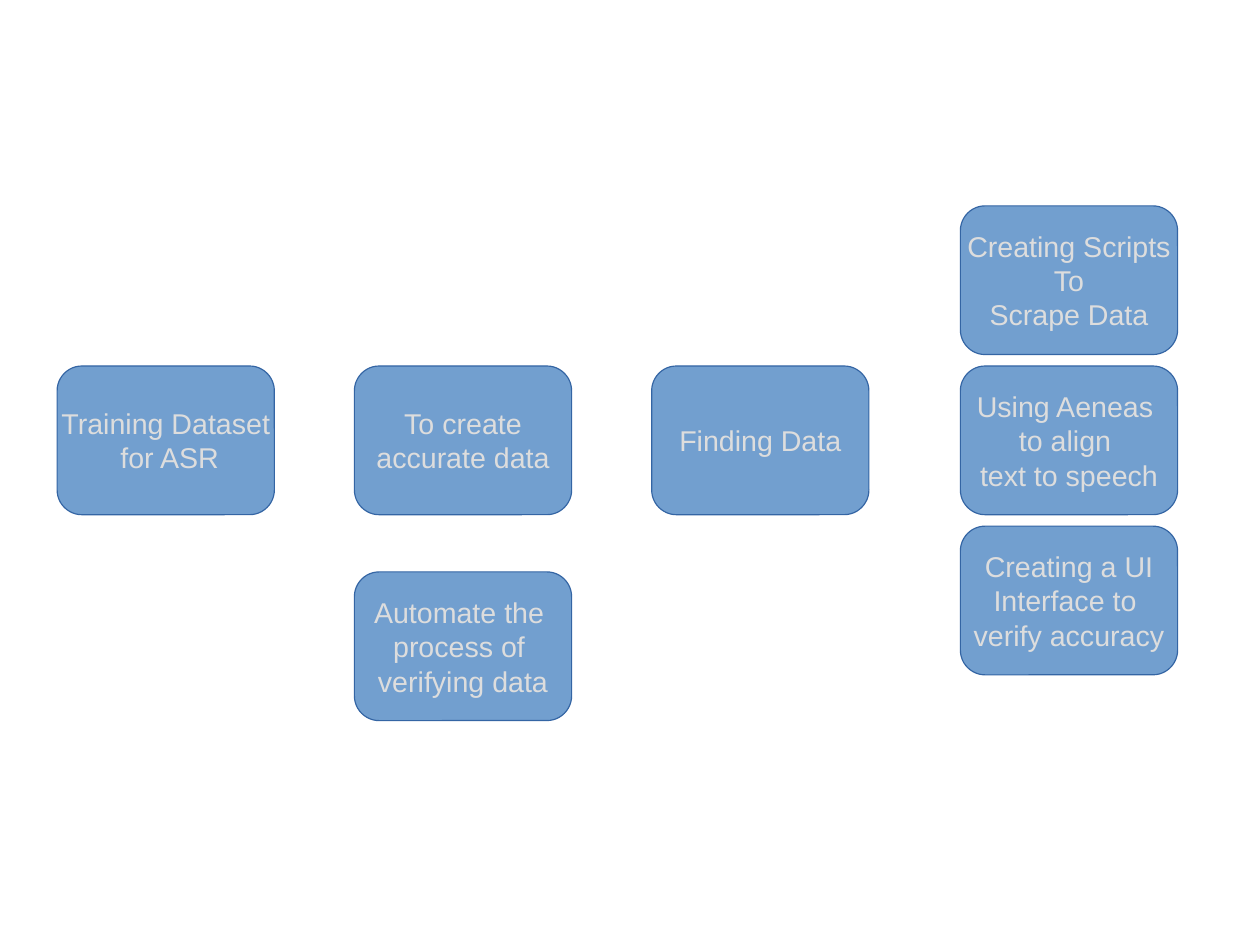
from pptx import Presentation
from pptx.dml.color import RGBColor
from pptx.enum import shapes, text
from pptx.util import Inches, Pt

COLUMNS = [
    (0.5, 3.2, [["Training Dataset", " for ASR"]]),
    (3.1, 3.2, [["To create", "accurate data"],
                ["Automate the ", "process of ", "verifying data"]]),
    (5.7, 3.2, [["Finding Data"]]),
    (8.4, 1.8, [["Creating Scripts", "To", "Scrape Data"],
                ["Using Aeneas ", "to align ", "text to speech"],
                ["Creating a UI", "Interface to ", "verify accuracy"]]),
]
BOX_WIDTH, BOX_HEIGHT = 1.9, 1.3
GAPS = {3.1: 0.5, 8.4: 0.1}


def color(value):
    return RGBColor.from_string(value)


def write(frame, lines, size=18, font="Arial", ink="DDDDDD"):
    frame.word_wrap = False
    frame.vertical_anchor = text.MSO_ANCHOR.MIDDLE
    for index, line in enumerate(lines):
        para = frame.add_paragraph() if index else frame.paragraphs[0]
        para.alignment = text.PP_ALIGN.CENTER
        span = para.add_run()
        span.text = line
        span.font.size = Pt(size)
        span.font.name = font
        span.font.color.rgb = color(ink)


def add_step(page, left, top, lines):
    box = page.shapes.add_shape(
        shapes.MSO_SHAPE.FLOWCHART_ALTERNATE_PROCESS,
        Inches(left), Inches(top), Inches(BOX_WIDTH), Inches(BOX_HEIGHT))
    box.shadow.inherit = False
    box.fill.solid()
    box.fill.fore_color.rgb = color("729FCF")
    box.line.color.rgb = color("3465A4")
    box.line.width = Pt(0)
    write(box.text_frame, lines)


def main():
    deck = Presentation()
    deck.slide_width, deck.slide_height = Inches(11.02), Inches(8.27)
    page = deck.slides.add_slide(deck.slide_layouts[6])
    for left, top, steps in COLUMNS:
        pitch = BOX_HEIGHT + GAPS.get(left, 0)
        for row, lines in enumerate(steps):
            add_step(page, left, top + row * pitch, lines)
    deck.save("out.pptx")


if __name__ == "__main__":
    main()
